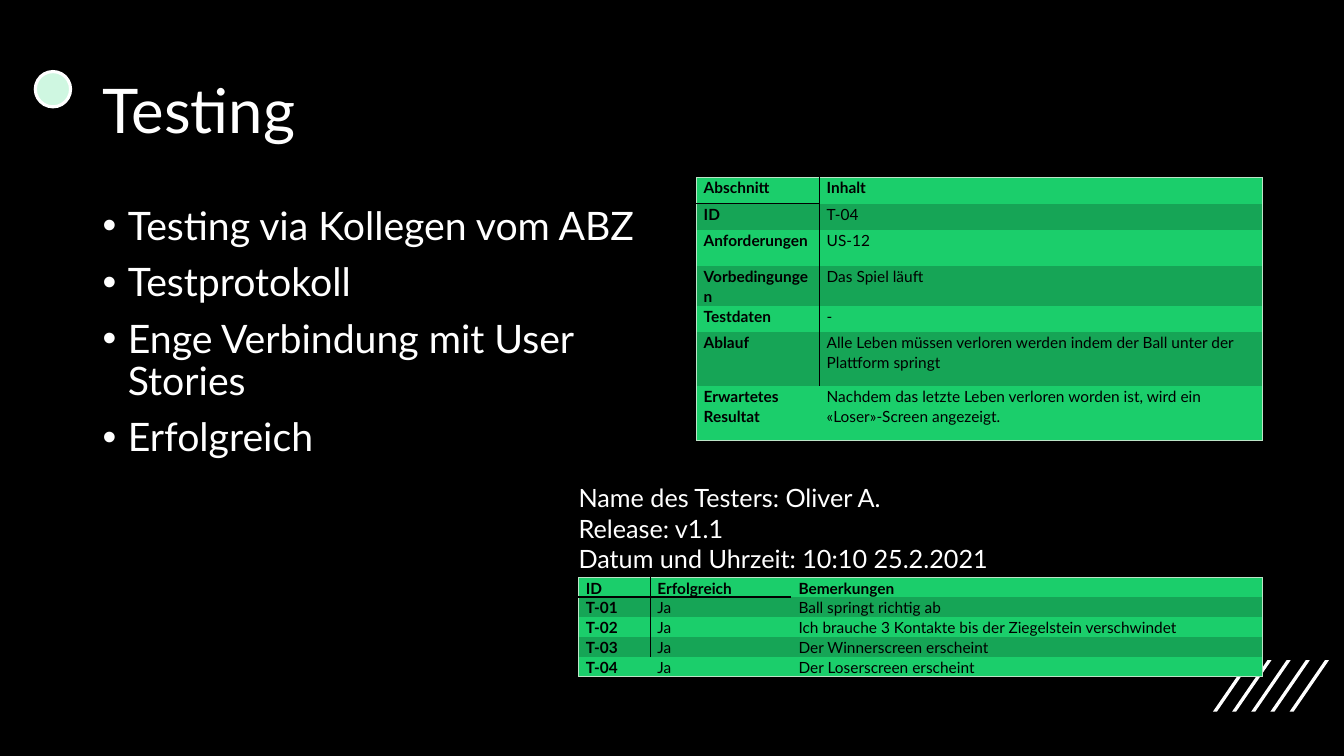
from lxml import etree
from pptx import Presentation
from pptx.dml.color import RGBColor
from pptx.enum.shapes import MSO_SHAPE
from pptx.enum.text import MSO_ANCHOR
from pptx.oxml.ns import qn
from pptx.util import Inches, Pt

OVAL = MSO_SHAPE.OVAL
TOP, MIDDLE = MSO_ANCHOR.TOP, MSO_ANCHOR.MIDDLE
FONT = "Lato"
COLORS = {
    "background": "000000", "text": "FFFFFF", "cell text": "000000",
    "dot": "CFF7E1", "light row": "1BCE6B", "dark row": "16A556",
    "frame": "BDE4C7", "rule": "000000",
}


def color(name):
    return RGBColor.from_string(COLORS[name])


def write(text_frame, lines, size, ink="text", bold=False, spacing=1.0):
    text_frame.word_wrap = True
    text_frame.text = "\n".join(lines)
    for paragraph in text_frame.paragraphs:
        paragraph.line_spacing = spacing
        for run in paragraph.runs:
            run.font.name = FONT
            run.font.size = Pt(size)
            run.font.bold = bold
            run.font.color.rgb = color(ink)


presentation = Presentation()
presentation.slide_width = Inches(13.33)
presentation.slide_height = Inches(7.5)
slide = presentation.slides.add_slide(presentation.slide_layouts[6])
slide.background.fill.solid()
slide.background.fill.fore_color.rgb = color("background")

# Slanted stripes in the corner
STRIPE_PITCH, STRIPE_WIDTH = 0.19, 0.04
STRIPE_TOP, STRIPE_BOTTOM, STRIPE_SLANT = 6.55, 7.06, 0.35
for index in range(5):
    left = 12.03 + index * STRIPE_PITCH
    right = left + STRIPE_WIDTH
    outline = slide.shapes.build_freeform(Inches(right), Inches(STRIPE_BOTTOM))
    outline.add_line_segments([
        (Inches(left), Inches(STRIPE_BOTTOM)),
        (Inches(left + STRIPE_SLANT), Inches(STRIPE_TOP)),
        (Inches(right + STRIPE_SLANT), Inches(STRIPE_TOP)),
    ], close=True)
    stripe = outline.convert_to_shape()
    stripe.shadow.inherit = False
    stripe.fill.solid()
    stripe.fill.fore_color.rgb = color("text")
    stripe.line.fill.background()

# Dot beside the title
dot = slide.shapes.add_shape(OVAL, Inches(0.35), Inches(0.71), Inches(0.35), Inches(0.35))
dot.shadow.inherit = False
dot.fill.solid()
dot.fill.fore_color.rgb = color("dot")
dot.line.color.rgb = color("text")
dot.line.width = Pt(2.25)

# Title, bullet list and test run details
BULLETS = ["Testing via Kollegen vom ABZ", "Testprotokoll",
           "Enge Verbindung mit User Stories", "Erfolgreich"]
DETAILS = ["Name des Testers: Oliver A.", "Release: v1.1",
           "Datum und Uhrzeit: 10:10 25.2.2021"]
text_boxes = []
for box, lines, size, spacing, anchor in [
    ((0.92, 0.4, 11.5, 1.45), ["Testing"], 44, 0.9, MIDDLE),
    ((0.92, 2, 5.99, 4.76), BULLETS, 28, 0.9, TOP),
    ((5.64, 4.74, 5.36, 1.0), DETAILS, 18, 1.0, TOP),
]:
    text_box = slide.shapes.add_textbox(*[Inches(length) for length in box])
    text_box.text_frame.vertical_anchor = anchor
    write(text_box.text_frame, lines, size, spacing=spacing)
    text_boxes.append(text_box)

for paragraph in text_boxes[1].text_frame.paragraphs:
    paragraph.space_before = Pt(10)
    properties = paragraph._p.get_or_add_pPr()
    properties.set("marL", str(Inches(0.25)))
    properties.set("indent", str(Inches(-0.25)))
    etree.SubElement(properties, qn("a:buFont"), typeface="Arial")
    etree.SubElement(properties, qn("a:buChar"), char="•")

# Test case and test log tables
TEST_CASE = [
    ("Abschnitt", "Inhalt"),
    ("ID", "T-04"),
    ("Anforderungen", "US-12"),
    ("Vorbedingungen", "Das Spiel läuft"),
    ("Testdaten", "-"),
    ("Ablauf", "Alle Leben müssen verloren werden indem der Ball unter der Plattform springt"),
    ("Erwartetes Resultat",
     "Nachdem das letzte Leben verloren worden ist, wird ein «Loser»-Screen angezeigt."),
]
TEST_LOG = [
    ("ID", "Erfolgreich", "Bemerkungen"),
    ("T-01", "Ja", "Ball springt richtig ab"),
    ("T-02", "Ja", "Ich brauche 3 Kontakte bis der Ziegelstein verschwindet"),
    ("T-03", "Ja", "Der Winnerscreen erscheint"),
    ("T-04", "Ja", "Der Loserscreen erscheint"),
]
for left, top, widths, heights, rows in [
    (6.91, 1.76, [1.22, 4.39], [0.26, 0.26, 0.36, 0.36, 0.26, 0.54, 0.54], TEST_CASE),
    (5.74, 5.73, [0.71, 1.4, 4.67], [0.19] * 5, TEST_LOG),
]:
    table = slide.shapes.add_table(
        len(rows), len(widths), Inches(left), Inches(top),
        Inches(sum(widths)), Inches(sum(heights))).table
    for column, width in zip(table.columns, widths):
        column.width = Inches(width)
    for row, height in zip(table.rows, heights):
        row.height = Inches(height)
    last_row, last_column = len(rows) - 1, len(widths) - 1

    for row_index, texts in enumerate(rows):
        for column_index, text in enumerate(texts):
            cell = table.cell(row_index, column_index)
            cell.margin_left = cell.margin_right = Inches(0.07)
            cell.margin_top = cell.margin_bottom = 0
            write(cell.text_frame, [text], 11, "cell text",
                  bold=row_index == 0 or column_index == 0, spacing=1.07)
            cell.text_frame.paragraphs[0].space_after = Pt(12)

            # Pale frame outside, black rules beside and below the headings
            borders = dict.fromkeys(["lnL", "lnR", "lnT", "lnB"])
            if column_index == 0:
                borders["lnL"] = ("frame", 0.5)
            if column_index == last_column:
                borders["lnR"] = ("frame", 0.5)
            if row_index == 0:
                borders["lnT"] = ("frame", 0.5)
            if row_index == last_row:
                borders["lnB"] = ("frame", 0.5)
            else:
                if column_index == 0:
                    borders["lnR"] = ("rule", 1)
                if column_index == 1:
                    borders["lnL"] = ("rule", 1)
            if column_index < last_column and row_index == 0:
                borders["lnB"] = ("rule", 1.5)
            if column_index < last_column and row_index == 1:
                borders["lnT"] = ("rule", 1.5)
            cell_properties = cell._tc.get_or_add_tcPr()
            for side, border in borders.items():
                line = etree.SubElement(cell_properties, qn(f"a:{side}"))
                if border is None:
                    etree.SubElement(line, qn("a:noFill"))
                else:
                    name, width = border
                    line.set("w", str(Pt(width)))
                    fill = etree.SubElement(line, qn("a:solidFill"))
                    etree.SubElement(fill, qn("a:srgbClr"), val=COLORS[name])

            cell.fill.solid()
            cell.fill.fore_color.rgb = color("dark row" if row_index % 2 else "light row")

presentation.save("out.pptx")
